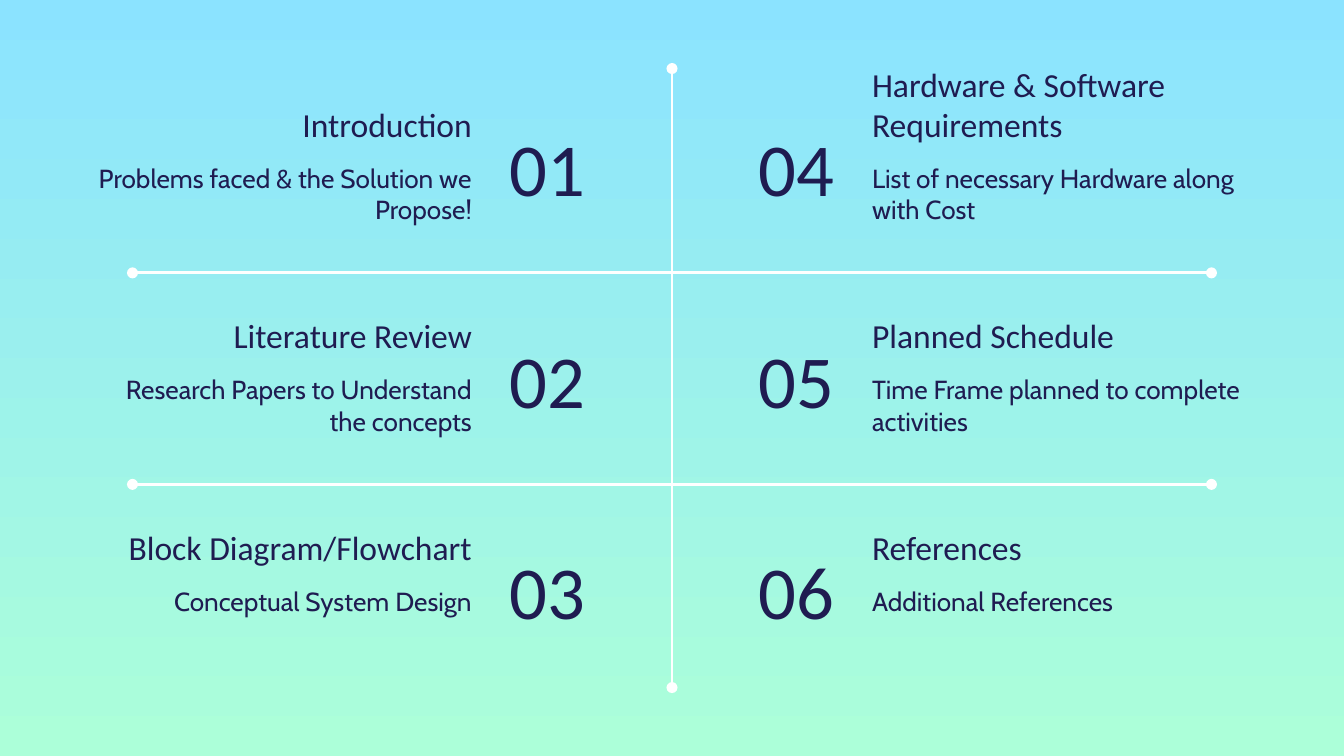
"""Build the agenda slide: six numbered topics around a line grid."""
from dataclasses import dataclass

from lxml import etree
from pptx import Presentation
from pptx.dml.color import RGBColor
from pptx.enum.shapes import MSO_CONNECTOR
from pptx.enum.text import MSO_ANCHOR, PP_ALIGN
from pptx.oxml.ns import qn
from pptx.util import Inches, Pt

LEFT, RIGHT = PP_ALIGN.LEFT, PP_ALIGN.RIGHT
TOP, MIDDLE, BOTTOM = MSO_ANCHOR.TOP, MSO_ANCHOR.MIDDLE, MSO_ANCHOR.BOTTOM
STRAIGHT = MSO_CONNECTOR.STRAIGHT


@dataclass(frozen=True)
class Theme:
    """Colours, fonts and sizes of the deck."""
    sky: str = "8BE3FF"
    mint: str = "ACFFD9"
    ink: str = "1F1C51"
    rule: str = "FFFFFF"
    heading_font: str = "Calibri"
    body_font: str = "Cabin"
    number_size: int = 40
    heading_size: int = 18
    body_size: int = 14
    rule_width: float = 1.5
    inset: float = 0.1


class Deck:
    """Draw elements placed by percentages of the slide's size."""

    def __init__(self, theme, width, height):
        """Open a deck of the given size in inches."""
        self.theme = theme
        self.prs = Presentation()
        self.prs.slide_width, self.prs.slide_height = Inches(width), Inches(height)
        self.s = None

    def x(self, share):
        """Turn a percentage of the width into a length."""
        return round(self.prs.slide_width * share / 100)

    def y(self, share):
        """Turn a percentage of the height into a length."""
        return round(self.prs.slide_height * share / 100)

    def slide(self):
        """Add a blank slide with the gradient background."""
        self.s = self.prs.slides.add_slide(self.prs.slide_layouts[6])
        fill = self.s.background.fill
        fill.gradient()
        fill.gradient_angle = 270
        for stop, color in zip(fill.gradient_stops, (self.theme.sky, self.theme.mint)):
            stop.color.rgb = RGBColor.from_string(color)

    def text(self, text, x, y, w, h, anchor=TOP, **style):
        """Add a text box."""
        sp = self.s.shapes.add_textbox(self.x(x), self.y(y), self.x(w), self.y(h))
        tf = sp.text_frame
        tf.word_wrap = True
        tf.vertical_anchor = anchor
        tf.margin_left = tf.margin_right = Inches(self.theme.inset)
        tf.margin_top = tf.margin_bottom = Inches(self.theme.inset)
        write(tf.paragraphs[0], text, color=self.theme.ink, **style)

    def line(self, x1, y1, x2, y2):
        """Add a line with a dot at each end."""
        sp = self.s.shapes.add_connector(
            STRAIGHT, self.x(x1), self.y(y1), self.x(x2), self.y(y2))
        sp.line.color.rgb = RGBColor.from_string(self.theme.rule)
        sp.line.width = Pt(self.theme.rule_width)
        ln = sp.line._get_or_add_ln()
        for end in ("a:headEnd", "a:tailEnd"):
            etree.SubElement(ln, qn(end), type="oval")
        etree.SubElement(sp._element.spPr, qn("a:effectLst"))

    def topic(self, number, heading, body, row, on_left):
        """Add a numbered topic, mirrored about the middle of the slide."""
        t = self.theme
        text_x, number_x = (6.3, 36.95) if on_left else (63.9, 50.05)
        text_align, number_align = (RIGHT, LEFT) if on_left else (LEFT, RIGHT)
        y = row * ROW_PITCH
        self.text(number, number_x, y + 14.4, 13, 15.3, MIDDLE,
                  font=t.heading_font, size=t.number_size, align=number_align)
        self.text(heading, text_x, y + 11.95, 29.8, 8.9, BOTTOM,
                  font=t.heading_font, size=t.heading_size, align=text_align)
        self.text(body, text_x, y + 19.7, 29.8, 12.3,
                  font=t.body_font, size=t.body_size, align=text_align)


def write(p, text, font, size, color, align):
    """Write one formatted run into a paragraph."""
    p.alignment = align
    r = p.add_run()
    r.text = text
    r.font.name, r.font.size = font, Pt(size)
    r.font.color.rgb = RGBColor.from_string(color)


ROWS = 3
ROW_PITCH = 27.97
TOPICS = [
    ("Introduction", "Problems faced & the Solution we Propose!"),
    ("Literature Review", "Research Papers to Understand the concepts"),
    ("Block Diagram/Flowchart", "Conceptual System Design"),
    ("Hardware & Software Requirements", "List of necessary Hardware along with Cost"),
    ("Planned Schedule", "Time Frame planned to complete activities"),
    ("References", "Additional References"),
]


def main():
    """Build and save the deck."""
    deck = Deck(Theme(), 10, 10 * 9 / 16)
    deck.slide()
    deck.line(50, 9.07, 50, 90.95)
    for i, (heading, body) in enumerate(TOPICS):
        deck.topic(f"{i + 1:02}", heading, body, i % ROWS, i < ROWS)
    for row in range(ROWS - 1):
        y = 36.1 + row * ROW_PITCH
        deck.line(9.86, y, 90.14, y)
    deck.prs.save("out.pptx")


if __name__ == "__main__":
    main()
